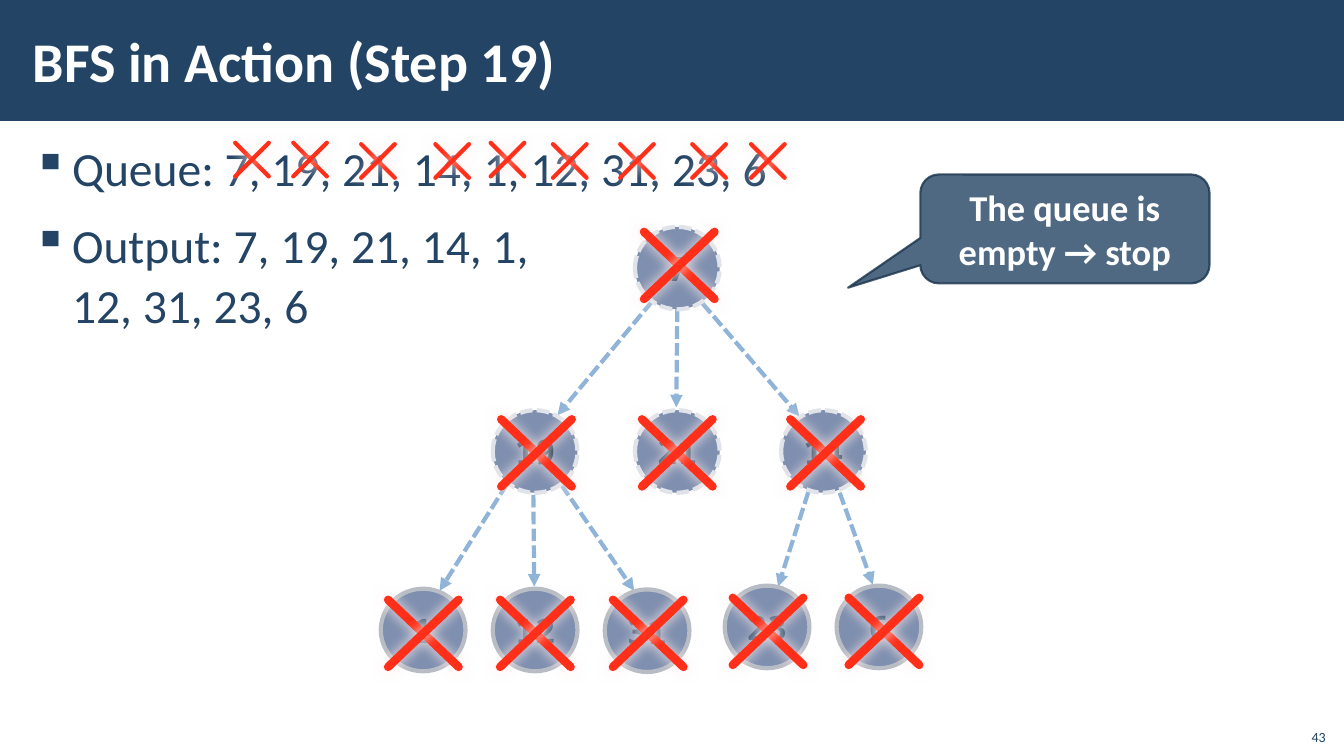
from dataclasses import dataclass

from pptx import Presentation
from pptx.dml.color import RGBColor
from pptx.enum.dml import MSO_LINE
from pptx.enum.shapes import MSO_CONNECTOR, MSO_SHAPE
from pptx.enum.text import MSO_ANCHOR, PP_ALIGN
from pptx.oxml import parse_xml
from pptx.oxml.ns import nsdecls, qn
from pptx.util import Pt


@dataclass(frozen=True)
class Theme:
    navy: str = "234465"
    dark: str = "1A334C"
    white: str = "FFFFFF"
    edge: str = "90B4D8"
    red: str = "FF2F19"
    glow: str = "FFEDEB"
    inner_fill: str = "7F8FAF"
    inner_line: str = "E0E3E9"
    leaf_fill: str = "002060"
    leaf_line: str = "B8BCC4"
    font: str = "Calibri"
    mono: str = "Noto Sans Mono"
    title: int = 40
    body: int = 34
    callout: int = 26
    node: int = 24
    number: int = 10


def add_xml(parent, tag, attributes="", inner=""):
    parent.append(parse_xml(f'<a:{tag} {nsdecls("a")} {attributes}>{inner}</a:{tag}>'))


def write(paragraph, text, *, size, color, font=Theme.font, bold=False,
          align=PP_ALIGN.LEFT, bullet=None, indent=0, spacing=None, gap=0, first=True):
    """Fill a paragraph; a newline in the text becomes a line break."""
    paragraph.text = text
    paragraph.alignment = align
    if bullet:
        properties = paragraph._p.get_or_add_pPr()
        properties.set("marL", str(Pt(indent)))
        properties.set("indent", str(-Pt(indent)))
        add_xml(properties, "buChar", f'char="{bullet}"')
    if spacing:
        paragraph.line_spacing = spacing
    paragraph.space_before = Pt(0 if first else gap)
    paragraph.space_after = Pt(gap)
    for span in paragraph.runs:
        span.font.name, span.font.size, span.font.bold = font, Pt(size), bold
        span.font.color.rgb = RGBColor.from_string(color)


class Page:
    """The current slide together with its style."""

    def __init__(self, deck, theme):
        self.theme = theme
        self.page = deck.slides.add_slide(deck.slide_layouts[6])
        self.shapes = self.page.shapes

    def group(self):
        return self.page.shapes.add_group_shape().shapes

    def text_box(self, left, top, width, height, texts, *, anchor=MSO_ANCHOR.TOP,
                 inset=(7.2, 3.6), **style):
        box = self.shapes.add_textbox(Pt(left), Pt(top), Pt(width), Pt(height))
        frame = box.text_frame
        frame.word_wrap, frame.vertical_anchor = True, anchor
        frame.margin_left = frame.margin_right = Pt(inset[0])
        frame.margin_top = frame.margin_bottom = Pt(inset[1])
        for index, text in enumerate(texts):
            paragraph = frame.add_paragraph() if index else frame.paragraphs[0]
            write(paragraph, text, first=index == 0, **style)

    def shape(self, kind, left, top, width, height, fill, *, line=None, weight=0,
              opacity=100, line_opacity=100, dashed=False, text="", wrap=True,
              shapes=None, **style):
        shape = (shapes or self.shapes).add_shape(kind, Pt(left), Pt(top), Pt(width), Pt(height))
        shape.shadow.inherit = False
        shape.fill.solid()
        shape.fill.fore_color.rgb = RGBColor.from_string(fill)
        if line:
            shape.line.color.rgb = RGBColor.from_string(line)
            shape.line.width = Pt(weight)
            if dashed:
                shape.line.dash_style = MSO_LINE.SQUARE_DOT
        else:
            shape.line.fill.background()
        properties = shape.element.spPr
        for route, percent in (("a:solidFill", opacity), ("a:ln/a:solidFill", line_opacity)):
            if percent < 100:
                color = properties.find("/".join(map(qn, route.split("/"))) + "/" + qn("a:srgbClr"))
                add_xml(color, "alpha", f'val="{percent * 1000}"')
        if text:
            frame = shape.text_frame
            frame.word_wrap, frame.vertical_anchor = wrap, MSO_ANCHOR.MIDDLE
            write(frame.paragraphs[0], text, bold=True, align=PP_ALIGN.CENTER, **style)
        return shape

    def line(self, shapes, start, end, color, weight, *, arrow=False, glow=False):
        line = shapes.add_connector(MSO_CONNECTOR.STRAIGHT, *map(Pt, start + end))
        line.line.color.rgb = RGBColor.from_string(color)
        line.line.width = Pt(weight)
        outline = line.element.spPr.find(qn("a:ln"))
        if arrow:
            line.line.dash_style = MSO_LINE.SQUARE_DOT
            add_xml(outline, "tailEnd", 'type="triangle"')
        else:
            outline.set("cap", "rnd")
        shadow = (f'<a:outerShdw blurRad="{Pt(10)}" dist="0" dir="5400000" algn="ctr" '
                  f'rotWithShape="0"><a:srgbClr val="{self.theme.glow}"/></a:outerShdw>')
        add_xml(line.element.spPr, "effectLst", inner=shadow if glow else "")

    def cross(self, left, top, width, height, weight):
        shapes = self.group()
        right, bottom = left + width, top + height
        self.line(shapes, (left, top), (right, bottom), self.theme.red, weight, glow=True)
        self.line(shapes, (right, top), (left, bottom), self.theme.red, weight, glow=True)

    def node(self, shapes, label, left, top, leaf):
        theme = self.theme
        self.shape(MSO_SHAPE.OVAL, left, top, 60.5, 59,
                   theme.leaf_fill if leaf else theme.inner_fill,
                   line=theme.leaf_line if leaf else theme.inner_line, weight=3,
                   opacity=50 if leaf else 100, dashed=not leaf, shapes=shapes,
                   text=label, wrap=False, size=theme.node, font=theme.mono,
                   color=theme.navy if leaf else theme.dark)


# Queue crosses: left, top
QUEUE_CROSSES = [(168, 102), (209.5, 102), (258, 103), (311, 103), (350.5, 102),
                 (395, 103), (443, 103), (494.5, 103), (536.5, 103)]

# Tree: label, node left and top, cross left and top, is a leaf
NODES = [
    ("7", 453.6, 162, 460, 165.6, False),
    ("19", 352, 293, 358, 299.5, False),
    ("21", 453.6, 293, 458.6, 299.5, False),
    ("14", 558, 293, 564.5, 299.5, False),
    ("1", 272, 420.5, 277.2, 428.4, True),
    ("12", 352, 420.5, 357.2, 428.4, True),
    ("31", 432, 421, 437.8, 428.4, True),
    ("23", 517.7, 418.3, 523.4, 427, True),
    ("6", 597.6, 418.3, 606.2, 427, True),
]
EDGES = [
    ((465.8, 215.3), (398.2, 296.6)),
    ((483.8, 221), (483.1, 291)),
    ((501.8, 216.7), (571, 297.4)),
    ((362.2, 345.6), (314, 422)),
    ((381, 353.5), (381.6, 419)),
    ((401, 346.3), (453, 422)),
    ((577.4, 351.4), (555.8, 419)),
    ((599.8, 352), (623.5, 417.6)),
]


def main():
    deck = Presentation()
    deck.slide_width, deck.slide_height = Pt(960), Pt(540)
    theme = Theme()
    page = Page(deck, theme)

    # Header and body text
    page.shape(MSO_SHAPE.RECTANGLE, 0, 0, 960, 86.4, theme.navy)
    page.text_box(15, 94.3, 930, 435.6,
                  ["Queue: 7, 19, 21, 14, 1, 12, 31, 23, 6",
                   "Output: 7, 19, 21, 14, 1,\n12, 31, 23, 6"],
                  inset=(8.5, 2.8), size=theme.body, color=theme.navy,
                  bullet="▪", indent=28, spacing=1.05, gap=6)
    page.text_box(15, 8, 765.4, 70, ["BFS in Action (Step 19)"], anchor=MSO_ANCHOR.MIDDLE,
                  inset=(8.5, 2.8), size=theme.title, color=theme.white, bold=True)

    # Emptied queue
    for left, top in QUEUE_CROSSES:
        page.cross(left, top, 24, 24, 3)

    # Callout
    callout = page.shape(MSO_SHAPE.ROUNDED_RECTANGULAR_CALLOUT, 657.4, 124.6, 206.6, 77.8,
                         theme.navy, line=theme.dark, weight=1.5, opacity=80, line_opacity=80,
                         text="The queue is empty → stop", size=theme.callout,
                         color=theme.white)
    for index, value in enumerate((-0.75, 0.54, 0.17)):
        callout.adjustments[index] = value

    # Tree
    tree = page.group()
    for start, end in EDGES:
        page.line(tree, start, end, theme.edge, 3, arrow=True)
    for label, left, top, _, _, leaf in NODES:
        page.node(tree, label, left, top, leaf)

    # Visited nodes
    for _, _, _, left, top, _ in NODES:
        page.cross(left, top, 50.4, 48, 6)

    # Page number
    page.text_box(925.2, 512.6, 28.8, 23, ["43"], anchor=MSO_ANCHOR.BOTTOM,
                  size=theme.number, color=theme.navy, align=PP_ALIGN.RIGHT)
    deck.save("out.pptx")


if __name__ == "__main__":
    main()
